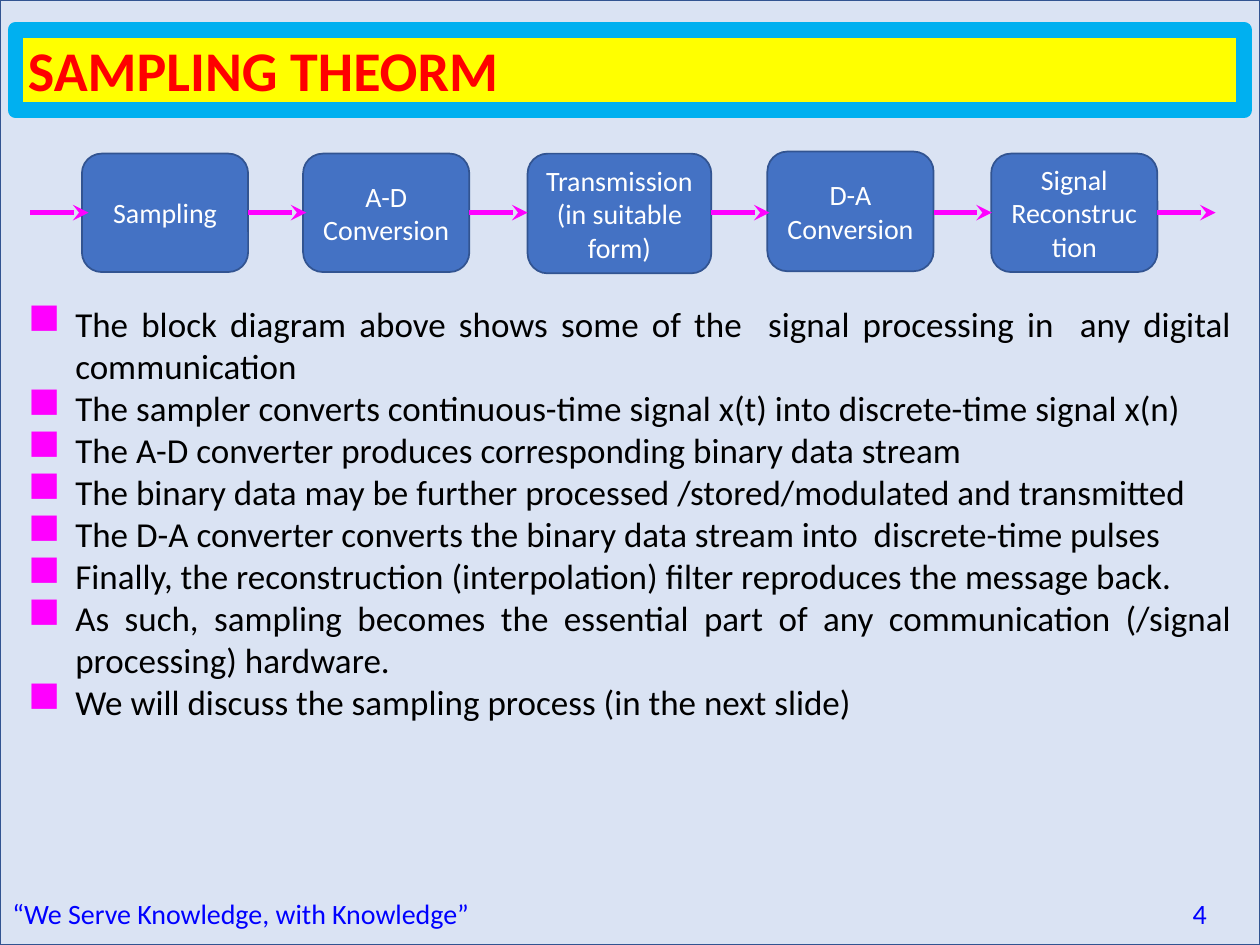
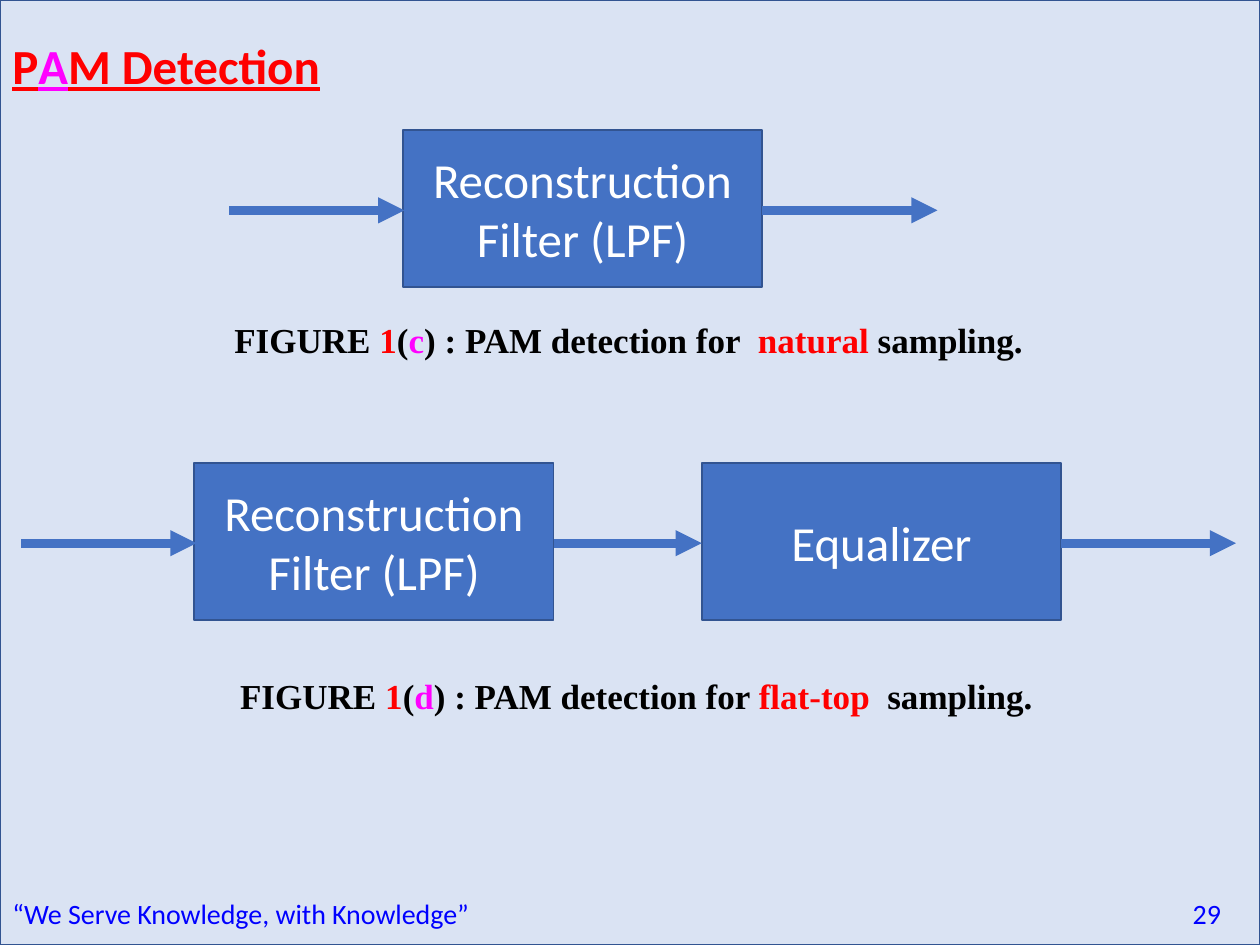
from lxml import etree
from pptx import Presentation
from pptx.dml.color import RGBColor
from pptx.enum.shapes import MSO_CONNECTOR, MSO_SHAPE
from pptx.enum.text import MSO_ANCHOR, PP_ALIGN
from pptx.oxml.ns import qn
from pptx.util import Pt

RECT, ROUNDED = MSO_SHAPE.RECTANGLE, MSO_SHAPE.ROUNDED_RECTANGLE
STRAIGHT = MSO_CONNECTOR.STRAIGHT
TOP, MIDDLE = MSO_ANCHOR.TOP, MSO_ANCHOR.MIDDLE
LEFT, CENTER, JUSTIFY = PP_ALIGN.LEFT, PP_ALIGN.CENTER, PP_ALIGN.JUSTIFY

PAGE_WIDTH, PAGE_HEIGHT = 720, 540
PALE, BLUE, DARK_BLUE = "DAE3F3", "4472C4", "325491"
YELLOW, CYAN, FOOTER_BLUE = "FFFF00", "00B0F0", "0000FF"
RED, MAGENTA, BLACK, WHITE = "FF0000", "FF00FF", "000000", "FFFFFF"

HEADING = {"name": "Calibri", "size": Pt(32), "bold": True}
SUBHEADING = {"name": "Calibri", "size": Pt(28), "bold": True, "underline": True}
BODY = {"name": "Calibri", "size": Pt(20)}
SMALL = {"name": "Calibri", "size": Pt(16)}
LARGE = {"name": "Calibri", "size": Pt(28)}
CAPTION = {"name": "Times New Roman", "size": Pt(20), "bold": True}

STAGE_WIDTH, STAGE_HEIGHT = 95, 67.7
STAGES = [
    ("Sampling", 46.8, 87.8, STAGE_WIDTH, STAGE_HEIGHT),
    ("A-D Conversion", 173.2, 87.8, STAGE_WIDTH, STAGE_HEIGHT),
    ("Transmission (in suitable form)", 301.5, 87.8, 105, 68.4),
    ("D-A Conversion", 438.5, 86.6, STAGE_WIDTH, 68.4),
    ("Signal Reconstruction", 566.4, 87.8, STAGE_WIDTH, STAGE_HEIGHT),
]
POINTS = [
    "The block diagram above shows some of the  signal processing in  any digital communication",
    "The sampler converts continuous-time signal x(t) into discrete-time signal x(n)",
    "The A-D converter produces corresponding binary data stream",
    "The binary data may be further processed /stored/modulated and transmitted",
    "The D-A converter converts the binary data stream into  discrete-time pulses",
    "Finally, the reconstruction (interpolation) filter reproduces the message back.",
    "As such, sampling becomes the essential part of any communication (/signal processing) hardware.",
    "We will discuss the sampling process (in the next slide)",
]
FILTER = "Reconstruction Filter (LPF)"
FILTER_WIDTH, FILTER_HEIGHT = 205.4, 90
ARROW_OFFSET = 46


def rgb(value):
    return RGBColor.from_string(value)


def add_child(parent, tag, **attributes):
    return etree.SubElement(parent, qn(tag), attributes)


def write(paragraph, runs, style, align=LEFT):
    paragraph.alignment = align
    for text, color in runs:
        run = paragraph.add_run()
        run.text = text
        for key, value in style.items():
            setattr(run.font, key, value)
        run.font.color.rgb = rgb(color)


def add_box(slide, kind, bounds, fill, border, weight):
    box = slide.shapes.add_shape(kind, *map(Pt, bounds))
    box.shadow.inherit = False
    box.fill.solid()
    box.fill.fore_color.rgb = rgb(fill)
    box.line.color.rgb = rgb(border)
    box.line.width = Pt(weight)
    return box


def add_block(slide, kind, bounds, label, style):
    frame = add_box(slide, kind, bounds, BLUE, DARK_BLUE, 1).text_frame
    frame.word_wrap = True
    frame.vertical_anchor = MIDDLE
    write(frame.paragraphs[0], [(label, WHITE)], style, CENTER)


def add_text(slide, bounds):
    frame = slide.shapes.add_textbox(*map(Pt, bounds)).text_frame
    frame.word_wrap = True
    return frame


def add_arrow(slide, start, end, y, color, weight, head):
    arrow = slide.shapes.add_connector(STRAIGHT, Pt(start), Pt(y), Pt(end), Pt(y))
    arrow.line.color.rgb = rgb(color)
    arrow.line.width = Pt(weight)
    add_child(arrow.line._get_or_add_ln(), "a:tailEnd", type=head)
    add_child(arrow._element.spPr, "a:effectLst")


def add_page(deck, number):
    slide = deck.slides.add_slide(deck.slide_layouts[6])
    add_box(slide, RECT, (0, 0, PAGE_WIDTH, PAGE_HEIGHT), PALE, DARK_BLUE, 0)
    footer = add_text(slide, (0, 509, PAGE_WIDTH, 26.6)).paragraphs[0]
    write(footer, [(f"“We Serve Knowledge, with Knowledge”\t{number}", FOOTER_BLUE)], SMALL)
    tabs = add_child(footer._p.get_or_add_pPr(), "a:tabLst")
    add_child(tabs, "a:tab", pos=str(Pt(674.5)), algn="l")
    return slide


def add_title_band(slide, title):
    band = add_box(slide, RECT, (8.9, 17, 702, 46), YELLOW, CYAN, 9)
    band.text_frame.vertical_anchor = TOP
    band.text_frame.word_wrap = True
    write(band.text_frame.paragraphs[0], [(title, RED)], HEADING)


def add_bullets(slide, bounds, points):
    frame = add_text(slide, bounds)
    for index, point in enumerate(points):
        paragraph = frame.add_paragraph() if index else frame.paragraphs[0]
        write(paragraph, [(point, BLACK)], BODY, JUSTIFY)
        properties = paragraph._p.get_or_add_pPr()
        properties.set("marL", str(Pt(27)))
        properties.set("indent", str(-Pt(27)))
        add_child(add_child(properties, "a:buClr"), "a:srgbClr", val=MAGENTA)
        add_child(properties, "a:buSzPct", val="125000")
        add_child(properties, "a:buChar", char="■")


def add_stages(slide):
    arrow_starts = [17.3]
    for label, left, top, width, height in STAGES:
        add_block(slide, ROUNDED, (left, top, width, height), label, SMALL)
        arrow_starts.append(left + width)
    for start in arrow_starts:
        add_arrow(slide, start, start + 33.3, 121.5, MAGENTA, 3, "stealth")


def add_filter_chain(slide, top, labels, lefts, arrows):
    for label, left in zip(labels, lefts):
        add_block(slide, RECT, (left, top, FILTER_WIDTH, FILTER_HEIGHT), label, LARGE)
    for start, end in arrows:
        add_arrow(slide, start, end, top + ARROW_OFFSET, BLUE, 5, "triangle")


def add_caption(slide, left, top, letter, lead, sampling, ending):
    runs = [("FIGURE ", BLACK), ("1", RED), ("(", BLACK), (letter, MAGENTA),
            (lead, BLACK), (sampling, RED), (ending, BLACK)]
    caption = add_text(slide, (left, top, 694, 31.5))
    write(caption.paragraphs[0], runs, CAPTION, CENTER)


def build_sampling(deck):
    slide = add_page(deck, 4)
    add_title_band(slide, "SAMPLING THEORM")
    add_stages(slide)
    add_bullets(slide, (8.9, 169.4, 702, 250), POINTS)


def build_detection(deck):
    slide = add_page(deck, 29)
    title = add_text(slide, (0, 16.6, 706, 41)).paragraphs[0]
    write(title, [("P", RED), ("A", MAGENTA), ("M Detection", RED)], SUBHEADING, JUSTIFY)
    add_filter_chain(slide, 74.2, [FILTER], [230.2], [(131, 231.1), (435.6, 535.7)])
    add_caption(slide, 12.2, 178.6, "c", ") : PAM detection for  ", "natural", " sampling.")
    add_filter_chain(slide, 264.4, [FILTER, "Equalizer"], [111, 401],
                     [(12.2, 112.3), (316.6, 401), (606.2, 706.3)])
    add_caption(slide, 16.6, 381.8, "d", ") : PAM detection for ", "flat-top ", " sampling.")


def main():
    deck = Presentation()
    deck.slide_width, deck.slide_height = Pt(PAGE_WIDTH), Pt(PAGE_HEIGHT)
    build_sampling(deck)
    build_detection(deck)
    deck.save("out.pptx")


if __name__ == "__main__":
    main()
